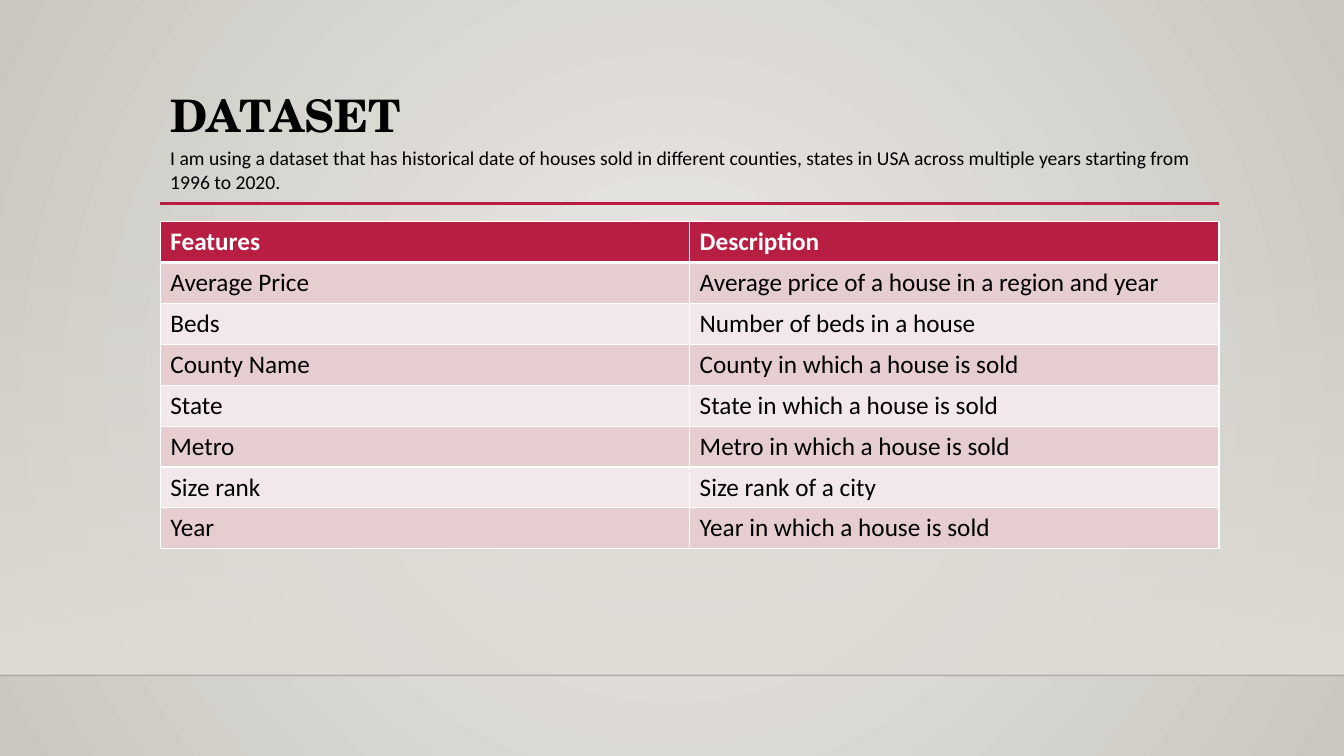
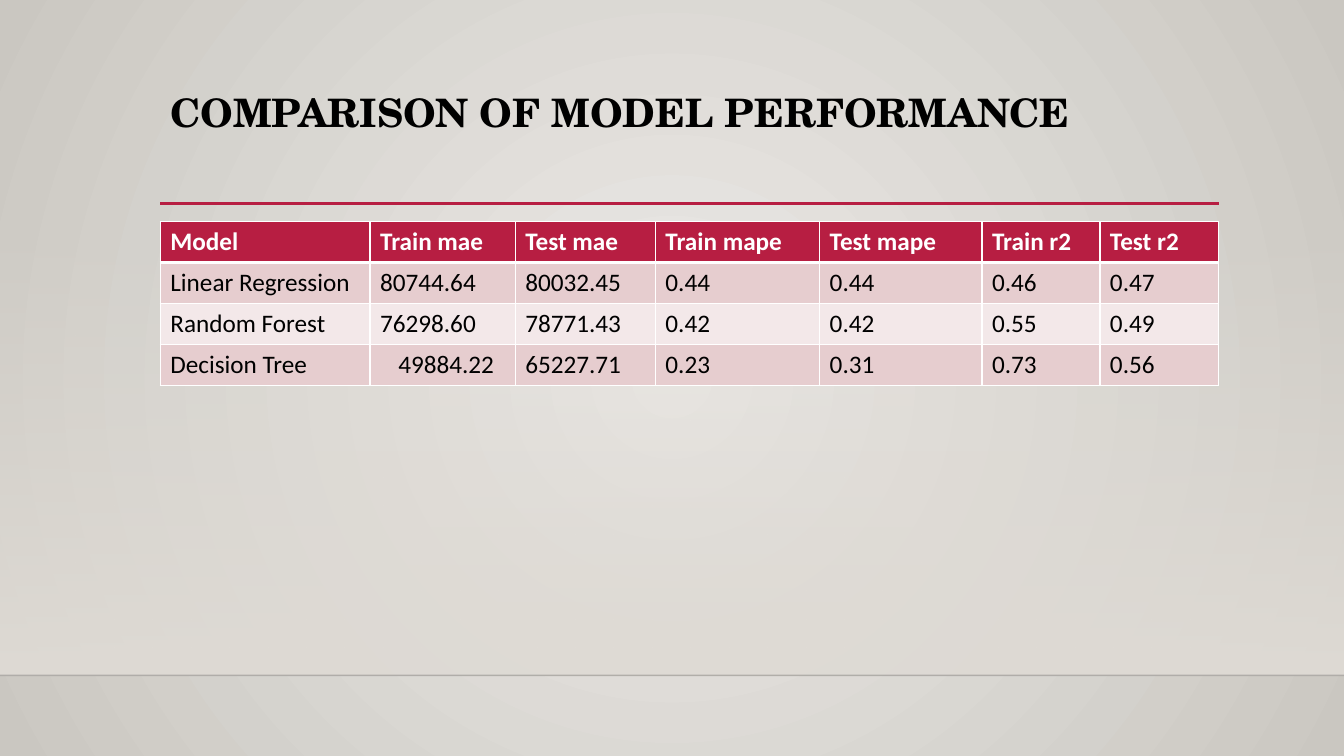
from dataclasses import dataclass

from lxml import etree
from pptx import Presentation
from pptx import util as u
from pptx.dml.color import RGBColor
from pptx.enum import shapes, text
from pptx.oxml import parse_xml
from pptx.oxml.ns import nsdecls, qn


@dataclass(frozen=True)
class Theme:
    accent: str = "B71E42"
    ink: str = "000000"
    white: str = "FFFFFF"
    rows: tuple = ("E6CDCF", "F3E8E9")
    backdrop: tuple = ("ECEAE7", "CAC7C1")
    band: str = "DFDBD5"
    edge: str = "000001"
    title_font: str = "TeX Gyre Schola"
    body_font: str = "Calibri"
    table_size: int = 18
    note_size: int = 14


T = Theme()
SLIDE_W, SLIDE_H = 13.33, 7.5
LEFT, WIDTH = 1.59, 10.5
TITLE_TOP, RULE_Y, TABLE_TOP, FLOOR_Y = 0.88, 2.02, 2.2, 6.7
ROW_H = 0.4

FEATURES = [
    ("Features", "Description"),
    ("Average Price", "Average price of a house in a region and year"),
    ("Beds", "Number of beds in a house"),
    ("County Name", "County in which a house is sold"),
    ("State", "State in which a house is sold"),
    ("Metro", "Metro in which a house is sold"),
    ("Size rank", "Size rank of a city"),
    ("Year", "Year in which a house is sold"),
]
SCORES = [
    ("Model", "Train mae", "Test mae", "Train mape", "Test mape", "Train r2", "Test r2"),
    ("Linear Regression", "80744.64", "80032.45", "0.44", "0.44", "0.46", "0.47"),
    ("Random Forest", "76298.60", "78771.43", "0.42", "0.42", "0.55", "0.49"),
    ("Decision Tree", "49884.22", "65227.71", "0.23", "0.31", "0.73", "0.56"),
]
SCORE_COLS = (2.08, 1.44, 1.39, 1.63, 1.61, 1.17, 1.18)


# Shared helpers
def rgb(value):
    return RGBColor.from_string(value)


def inches(*values):
    return [u.Inches(v) for v in values]


def write(tf, words, font, size, color, bold=False):
    p = tf.paragraphs[0]
    r = p.add_run()
    r.text = words
    formats = {"name": font, "size": u.Pt(size), "bold": bold}
    for name, value in formats.items():
        setattr(r.font, name, value)
    r.font.color.rgb = rgb(color)
    return p


def gradient(fill, colors):
    fill.gradient()
    for stop, color in zip(fill.gradient_stops, colors):
        stop.color.rgb = rgb(color)


def set_alpha(color_el, percent):
    etree.SubElement(color_el, qn("a:alpha")).set("val", str(percent * 1000))


def add_rule(s, x1, x2, y, color, width, alpha=None):
    cx = s.shapes.add_connector(
        shapes.MSO_CONNECTOR.STRAIGHT, *inches(x1, y, x2, y))
    cx.line.color.rgb = rgb(color)
    cx.line.width = u.Pt(width)
    sp_pr = cx.element.spPr
    if alpha is not None:
        set_alpha(sp_pr.find(".//" + qn("a:srgbClr")), alpha)
    etree.SubElement(sp_pr, qn("a:effectLst"))


# Backdrop on the master
def set_backdrop(master):
    gradient(master.background.fill, T.backdrop)
    grad = master.element.find(".//" + qn("p:bgPr")).find(qn("a:gradFill"))
    grad.replace(grad.find(qn("a:lin")), parse_xml(
        f'<a:path {nsdecls("a")} path="circle">'
        '<a:fillToRect l="50000" t="50000" r="50000" b="50000"/></a:path>'))


# Band, floor line and title rule
def add_frame(s):
    top = 2.21
    band = s.shapes.add_shape(
        shapes.MSO_SHAPE.RECTANGLE, *inches(0, top, SLIDE_W, FLOOR_Y - top))
    band.shadow.inherit = False
    band.line.fill.background()
    gradient(band.fill, (T.band, T.band))
    band.fill.gradient_angle = 270
    set_alpha(band.element.spPr.find(".//" + qn("a:srgbClr")), 0)
    add_rule(s, 0, SLIDE_W, FLOOR_Y, T.edge, 1, alpha=20)
    add_rule(s, LEFT, LEFT + WIDTH, RULE_Y, T.accent, 2.5)


def place_title(s, words, size, height):
    sp = s.shapes.title
    sp.left, sp.top, sp.width, sp.height = inches(LEFT, TITLE_TOP, WIDTH, height)
    tf = sp.text_frame
    formats = {"word_wrap": True, "auto_size": text.MSO_AUTO_SIZE.NONE,
               "vertical_anchor": text.MSO_ANCHOR.TOP}
    for name, value in formats.items():
        setattr(tf, name, value)
    p = write(tf, words, T.title_font, size, T.ink, bold=True)
    p.alignment = text.PP_ALIGN.LEFT
    p.line_spacing = 0.9


def add_note(s, words, box):
    tf = s.shapes.add_textbox(*inches(*box)).text_frame
    tf.word_wrap = True
    write(tf, words, T.body_font, T.note_size, T.ink)


# Tables
def set_borders(cell, header):
    widths = {"L": 1, "R": 1, "B": 3 if header else 1}
    if header:
        widths = {"L": 1, "R": 1, "T": 1, "B": 3}
    tc_pr = cell._tc.get_or_add_tcPr()
    for i, (side, width) in enumerate(widths.items()):
        tc_pr.insert(i, parse_xml(
            f'<a:ln{side} {nsdecls("a")} w="{u.Pt(width)}"><a:solidFill>'
            f'<a:srgbClr val="{T.white}"/></a:solidFill></a:ln{side}>'))


def add_grid(s, rows, cols, left, top):
    table = s.shapes.add_table(
        len(rows), len(cols),
        *inches(left, top, sum(cols), ROW_H * len(rows))).table
    for column, width in zip(table.columns, cols):
        column.width = u.Inches(width)
    for i, row in enumerate(rows):
        header = i == 0
        fill = T.accent if header else T.rows[(i - 1) % 2]
        color = T.white if header else T.ink
        for j, words in enumerate(row):
            cell = table.cell(i, j)
            cell.fill.solid()
            cell.fill.fore_color.rgb = rgb(fill)
            set_borders(cell, header)
            write(cell.text_frame, words, T.body_font, T.table_size, color, header)
    return table


# Slides
def new_slide(prs, title, size, height):
    s = prs.slides.add_slide(prs.slide_layouts[5])
    add_frame(s)
    place_title(s, title, size, height)
    return s


def dataset_slide(prs):
    s = new_slide(prs, "DATASET", 32, 0.67)
    add_grid(s, FEATURES, (WIDTH / 2, WIDTH / 2), LEFT, TABLE_TOP)
    add_note(s, "I am using a dataset that has historical date of houses sold in "
                "different counties, states in USA across multiple years starting "
                "from 1996 to 2020.", (LEFT, 1.4, WIDTH, 0.57))


def comparison_slide(prs):
    s = new_slide(prs, "COMPARISON OF MODEL PERFORMANCE", 28, 1.15)
    table = add_grid(s, SCORES, SCORE_COLS, LEFT, TABLE_TOP)
    # Right-aligned score of the last model
    cell = table.cell(len(SCORES) - 1, 1)
    cell.vertical_anchor = text.MSO_ANCHOR.MIDDLE
    cell.margin_right = u.Inches(0.21)
    cell.text_frame.paragraphs[0].alignment = text.PP_ALIGN.RIGHT


def main():
    prs = Presentation()
    prs.slide_width, prs.slide_height = inches(SLIDE_W, SLIDE_H)
    set_backdrop(prs.slide_master)
    dataset_slide(prs)
    comparison_slide(prs)
    prs.save("out.pptx")


if __name__ == "__main__":
    main()
